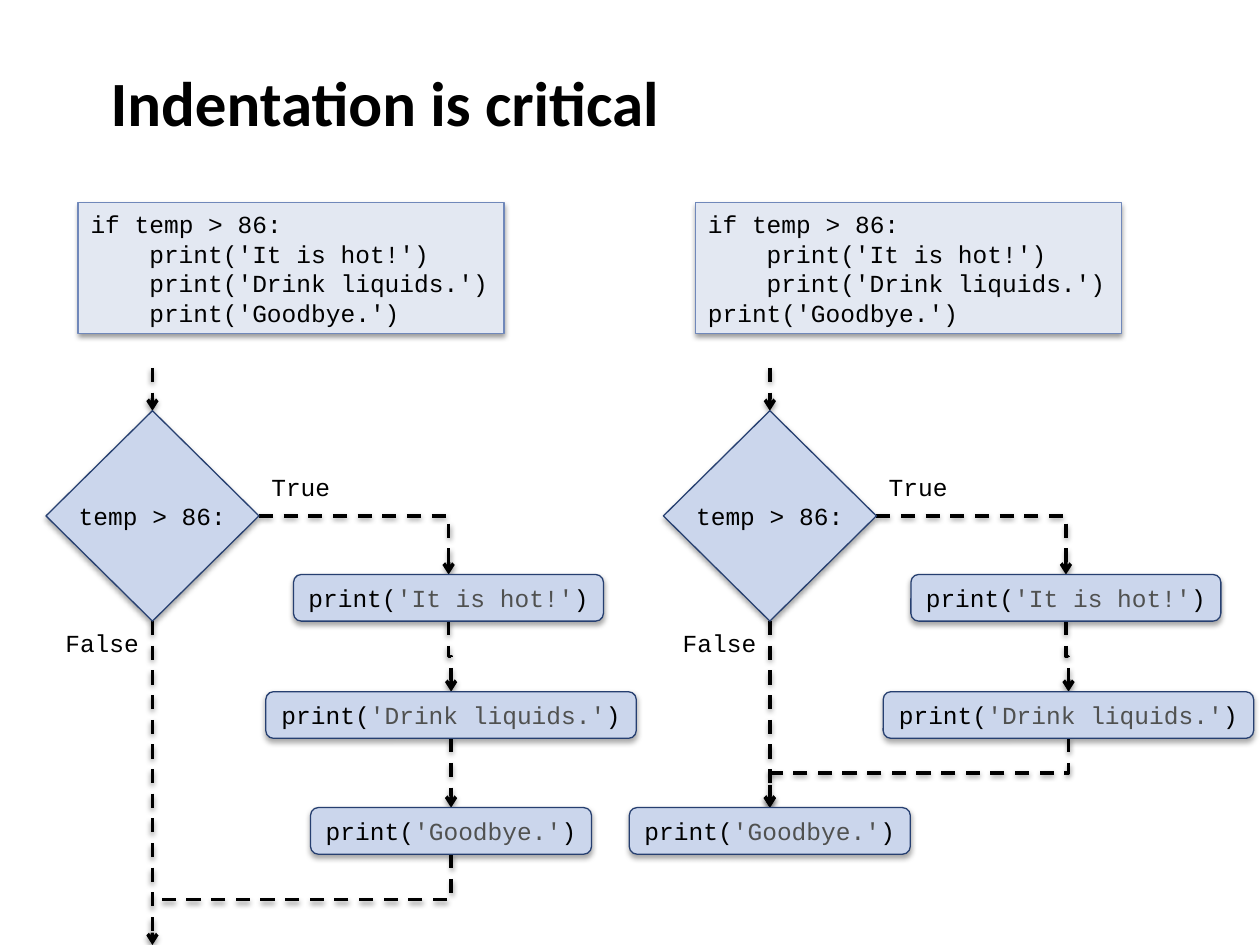
from lxml import etree
from pptx import Presentation
from pptx.dml.color import RGBColor
from pptx.enum.dml import MSO_LINE
from pptx.enum.shapes import MSO_CONNECTOR, MSO_SHAPE
from pptx.enum.text import MSO_ANCHOR, MSO_AUTO_SIZE, PP_ALIGN
from pptx.oxml.ns import qn
from pptx.util import Inches, Pt

CODE_BOX = MSO_SHAPE.RECTANGLE
DECISION = MSO_SHAPE.FLOWCHART_DECISION
PROCESS = MSO_SHAPE.FLOWCHART_ALTERNATE_PROCESS
STRAIGHT, ELBOW = MSO_CONNECTOR.STRAIGHT, MSO_CONNECTOR.ELBOW
LEFT, CENTER = PP_ALIGN.LEFT, PP_ALIGN.CENTER
MIDDLE = MSO_ANCHOR.MIDDLE
GROW = MSO_AUTO_SIZE.SHAPE_TO_FIT_TEXT
DASH = MSO_LINE.DASH

BLACK, GREY = "000000", "505150"
MONO = "Courier New"
CODE_INDENT = Pt(33.6)  # four characters of 14 pt code

# Flowchart grid in inches
TRUNKS = (1.21, 6.11)
BRANCH = 2.37
START_Y, DECISION_Y = 2.92, 3.26
DECISION_W, DECISION_H = 1.69, 1.67
STEP_H = 0.37
HOT_Y, DRINK_Y, BYE_Y = 4.56, 5.49, 6.41
HOT = ("'It is hot!'", 2.46)
DRINK = ("'Drink liquids.'", 2.94)
BYE = ("'Goodbye.'", 2.23)


def color(value):
    return RGBColor.from_string(value)


def add_shadow(properties, opacity, distance):
    effects = properties.find(qn("a:effectLst"))
    if effects is None:
        effects = etree.SubElement(properties, qn("a:effectLst"))
    shadow = etree.SubElement(effects, qn("a:outerShdw"), blurRad=str(Pt(3.1)),
                              dist=str(Pt(distance)), dir="5400000", rotWithShape="0")
    tint = etree.SubElement(shadow, qn("a:srgbClr"), val=BLACK)
    etree.SubElement(tint, qn("a:alpha"), val=str(opacity * 1000))


def write(box, paragraphs, align=LEFT, size=14, font=MONO, bold=False, wrap=False):
    """Each paragraph is a list of (text, colour) pairs."""
    frame = box.text_frame
    frame.word_wrap = wrap
    frame.vertical_anchor = MIDDLE
    for index, pieces in enumerate(paragraphs):
        para = frame.add_paragraph() if index else frame.paragraphs[0]
        para.alignment = align
        for text, ink in pieces:
            span = para.add_run()
            span.text = text
            span.font.size, span.font.name, span.font.bold = Pt(size), font, bold
            span.font.color.rgb = color(ink)


def add_label(slide, text, left, top, width, height=0.34, **style):
    box = slide.shapes.add_textbox(*map(Inches, (left, top, width, height)))
    write(box, [[(text, BLACK)]], **style)


def add_block(slide, kind, left, top, width, height, paragraphs,
              fill="CBD6EC", line="263F70", align=CENTER, shadow=(35, 1.8)):
    block = slide.shapes.add_shape(kind, *map(Inches, (left, top, width, height)))
    block.fill.solid()
    block.fill.fore_color.rgb = color(fill)
    block.line.color.rgb = color(line)
    block.line.width = Pt(0.75)
    block.shadow.inherit = False
    add_shadow(block._element.spPr, *shadow)
    write(block, paragraphs, align)
    if kind != DECISION:
        block.text_frame.auto_size = GROW
    return block


def add_code(slide, left, lines):
    """Lines are (indent level, text) pairs."""
    block = add_block(slide, CODE_BOX, left, 1.61, 3.38, 1.04,
                      [[(text, BLACK)] for level, text in lines],
                      "E3E8F2", "7088BA", LEFT, (38, 1.6))
    for para, (level, text) in zip(block.text_frame.paragraphs, lines):
        para._p.get_or_add_pPr().set("marL", str(level * CODE_INDENT))


def add_step(slide, center, top, step):
    text, width = step
    add_block(slide, PROCESS, center - width / 2, top, width, STEP_H,
              [[("print(", BLACK), (text, GREY), (")", BLACK)]])


def add_flow(slide, start, end, one_bend=False, downward=True, arrow=True):
    """Dashed line; bent ones leave the start downward or sideways."""
    (x1, y1), (x2, y2) = start, end
    bent = x1 != x2
    if bent and downward:
        # The box is turned a quarter around its centre
        mid_x, mid_y = (x1 + x2) / 2, (y1 + y2) / 2
        half_w, half_h = abs(y2 - y1) / 2, abs(x2 - x1) / 2
        ends = (mid_x - half_w, mid_y - half_h, mid_x + half_w, mid_y + half_h)
    else:
        ends = (x1, y1, x2, y2)
    flow = slide.shapes.add_connector(ELBOW if bent else STRAIGHT, *map(Inches, ends))
    properties = flow._element.spPr
    if bent and downward:
        frame = properties.find(qn("a:xfrm"))
        frame.set("rot", "5400000" if x2 < x1 else "16200000")
        if x2 > x1:
            frame.set("flipH", "1")
    if one_bend:
        properties.find(qn("a:prstGeom")).set("prst", "bentConnector2")
    flow.line.color.rgb = color(BLACK)
    flow.line.width = Pt(2)
    flow.line.dash_style = DASH
    if arrow:
        etree.SubElement(properties.find(qn("a:ln")), qn("a:tailEnd"), type="arrow")
    add_shadow(properties, 38, 1.6)


def add_flowchart(slide, trunk, bye_indented):
    branch = trunk + BRANCH
    hot_x = branch - 0.02
    decision_right = trunk + DECISION_W / 2
    decision_bottom = DECISION_Y + DECISION_H
    bye_x = branch if bye_indented else trunk

    # Code listing
    add_code(slide, trunk - 0.59, [(0, "if temp > 86:")] + [
        (1, f"print({text})") for text, width in (HOT, DRINK)
    ] + [(int(bye_indented), f"print({BYE[0]})")])

    # Flow lines
    add_flow(slide, (trunk, START_Y), (trunk, DECISION_Y))
    add_flow(slide, (trunk, decision_bottom), (trunk, 7.5 if bye_indented else BYE_Y))
    add_flow(slide, (decision_right, DECISION_Y + DECISION_H / 2), (hot_x, HOT_Y),
             one_bend=True, downward=False)
    add_flow(slide, (hot_x, HOT_Y + STEP_H), (branch, DRINK_Y))
    add_flow(slide, (branch, DRINK_Y + STEP_H), (bye_x, BYE_Y))
    if bye_indented:
        add_flow(slide, (branch, BYE_Y + STEP_H), (trunk, 7.14), one_bend=True, arrow=False)

    # Decision, steps and branch labels
    add_block(slide, DECISION, trunk - DECISION_W / 2, DECISION_Y, DECISION_W, DECISION_H,
              [[("temp > 86:", BLACK)]])
    add_step(slide, hot_x, HOT_Y, HOT)
    add_step(slide, branch, DRINK_Y, DRINK)
    add_step(slide, bye_x, BYE_Y, BYE)
    add_label(slide, "True", decision_right, 3.69, 0.67)
    add_label(slide, "False", trunk - 0.79, decision_bottom, 0.79)


def main():
    deck = Presentation()
    deck.slide_width, deck.slide_height = Inches(10), Inches(7.5)
    page = deck.slides.add_slide(deck.slide_layouts[6])
    add_label(page, "Indentation is critical", 0.78, 0, 8.5, 1.61,
              size=36, font="Calibri", bold=True, wrap=True)
    for trunk, bye_indented in zip(TRUNKS, (True, False)):
        add_flowchart(page, trunk, bye_indented)
    deck.save("out.pptx")


main()
